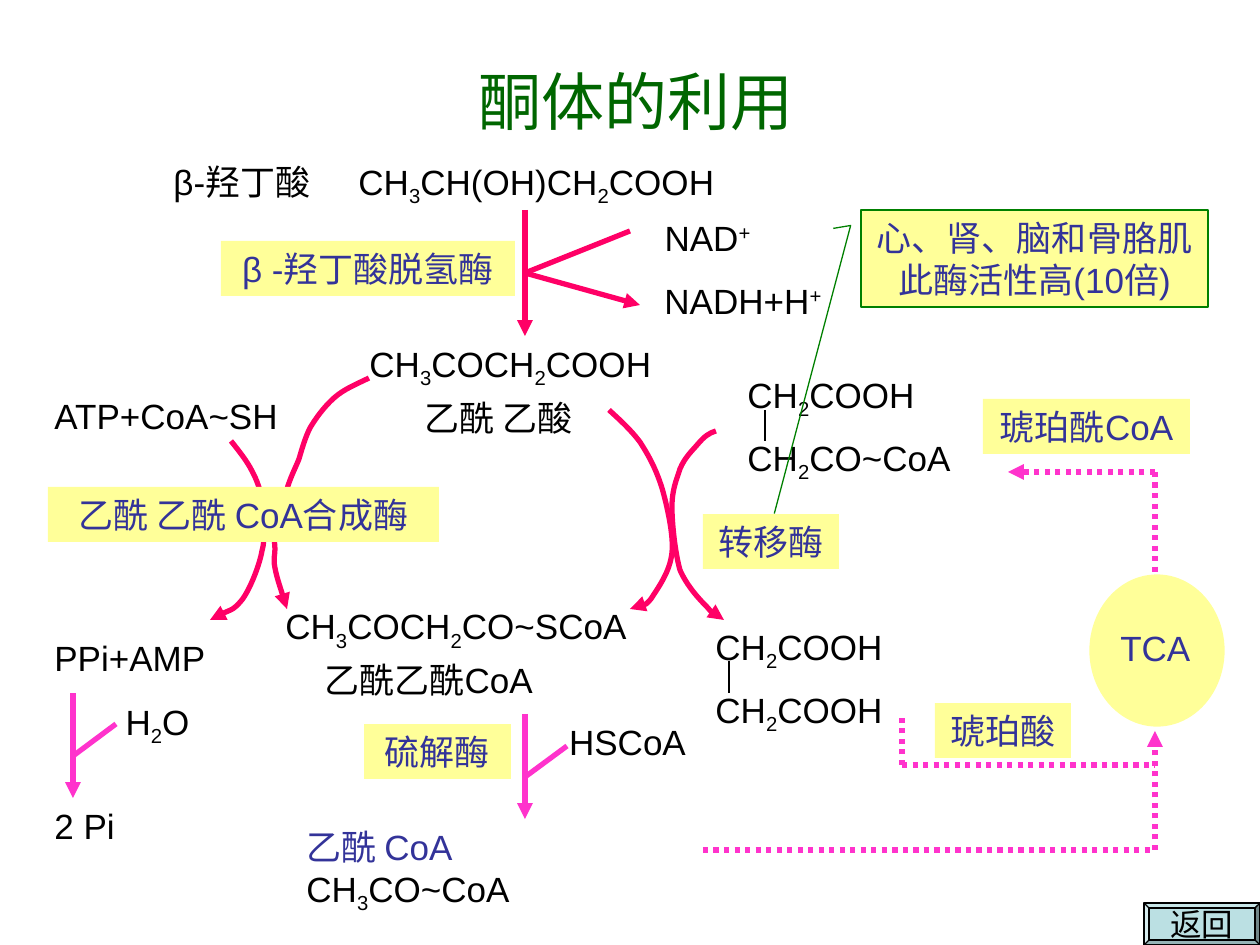
from lxml import etree
from pptx import Presentation
from pptx.dml.color import RGBColor
from pptx.enum.dml import MSO_LINE
from pptx.enum.shapes import MSO_CONNECTOR, MSO_SHAPE
from pptx.enum.text import MSO_ANCHOR, PP_ALIGN
from pptx.oxml.ns import qn
from pptx.util import Emu, Pt

SCALE = 914400 / 126
LEFT, CENTER = PP_ALIGN.LEFT, PP_ALIGN.CENTER
TOP, MIDDLE = MSO_ANCHOR.TOP, MSO_ANCHOR.MIDDLE
STRAIGHT = MSO_CONNECTOR.STRAIGHT
DOTTED = MSO_LINE.ROUND_DOT
BASELINES = {"_": "-25000", "^": "30000"}
COLORS = {
    "title": "006600",
    "ink": "000000",
    "enzyme": "333399",
    "highlight": "FFFF99",
    "ketone": "FF0066",
    "cycle": "FF33CC",
    "callout": "008000",
    "button": "BBE0E3",
}


def write(shape, lines, color, align=LEFT, size=20, indent=0, gap=0):
    frame = shape.text_frame
    frame.word_wrap = align == LEFT
    frame.vertical_anchor = TOP if align == LEFT else MIDDLE
    for index, line in enumerate(lines):
        paragraph = frame.paragraphs[0] if index == 0 else frame.add_paragraph()
        paragraph.alignment = align
        if index == len(lines) - 1 and indent:
            paragraph._p.get_or_add_pPr().set("marL", str(round(indent * SCALE)))
        if index:
            paragraph.space_before = Pt(gap)
        for piece in line.split("|"):
            run = paragraph.add_run()
            run.text = piece.lstrip("_^")
            run.font.name = "Arial"
            run.font.size = Pt(size)
            run.font.color.rgb = RGBColor.from_string(COLORS[color])
            if piece[0] in BASELINES:
                run._r.get_or_add_rPr().set("baseline", BASELINES[piece[0]])


def stroke(shape, color, width, arrow=False, dash=None):
    shape.line.color.rgb = RGBColor.from_string(COLORS[color])
    shape.line.width = Pt(width)
    if dash:
        shape.line.dash_style = dash
    if arrow:
        outline = shape._element.spPr.find(qn("a:ln"))
        etree.SubElement(outline, qn("a:tailEnd"), type="triangle")


prs = Presentation()
prs.slide_width, prs.slide_height = Emu(9144000), Emu(6858000)
slide = prs.slides.add_slide(prs.slide_layouts[6])
shapes = slide.shapes

title = shapes.add_textbox(*[Emu(round(v * SCALE)) for v in (53, 42, 1165, 116)])
write(title, ["酮体的利用"], "title", CENTER, 36)

hydroxybutyrate = shapes.add_textbox(*[Emu(round(v * SCALE)) for v in (161, 154, 586, 60)])
write(hydroxybutyrate, ["β-羟丁酸\tCH|_3|CH(OH)CH|_2|COOH"], "ink")
properties = hydroxybutyrate.text_frame.paragraphs[0]._p.get_or_add_pPr()
tabs = etree.SubElement(properties, qn("a:tabLst"))
etree.SubElement(tabs, qn("a:tab"), pos=str(round(185 * SCALE)), algn="l")

compounds = [
    ((357, 336, 315, 151), ["CH|_3|COCH|_2|COOH", "乙酰 乙酸"], LEFT, 55),
    ((273, 598, 388, 110), ["CH|_3|COCH|_2|CO~SCoA", "乙酰乙酰CoA"], LEFT, 39),
    ((42, 388, 252, 55), ["ATP+CoA~SH"], LEFT, 0),
    ((42, 630, 189, 55), ["PPi+AMP"], LEFT, 0),
    ((42, 798, 105, 55), ["2 Pi"], LEFT, 0),
    ((735, 367, 281, 60), ["CH|_2|COOH"], LEFT, 0),
    ((735, 430, 325, 60), ["CH|_2|CO~CoA"], LEFT, 0),
    ((703, 619, 242, 60), ["CH|_2|COOH"], LEFT, 0),
    ((703, 682, 242, 60), ["CH|_2|COOH"], LEFT, 0),
    ((648, 210, 119, 55), ["NAD|^+"], CENTER, 0),
    ((643, 273, 200, 55), ["NADH+H|^+"], CENTER, 0),
    ((109, 694, 97, 60), ["H|_2|O"], CENTER, 0),
    ((552, 714, 151, 55), ["HSCoA"], CENTER, 0),
]
for box, lines, align, indent in compounds:
    compound = shapes.add_textbox(*[Emu(round(v * SCALE)) for v in box])
    write(compound, lines, "ink", align, indent=indent, gap=3.7)

acetyl_coa = shapes.add_textbox(*[Emu(round(v * SCALE)) for v in (294, 819, 420, 103)])
write(acetyl_coa, ["乙酰 CoA", "CH|_3|CO~CoA"], "enzyme")
for run in acetyl_coa.text_frame.paragraphs[1].runs:
    run.font.color.rgb = RGBColor.from_string(COLORS["ink"])

curves = [
    [(609, 410), (620, 420), (631, 430), (640, 442), (649, 456), (656, 469), (662, 488),
     (667, 505), (674, 536), (672, 553), (670, 572), (658, 588), (651, 599),
     (644, 607), (634, 607), (630, 609)],
    [(716, 431), (709, 433), (704, 437), (698, 444), (693, 450), (685, 457), (680, 469),
     (677, 479), (672, 489), (672, 507), (672, 523), (675, 552), (680, 570),
     (687, 586), (699, 599), (707, 607), (714, 615), (722, 617), (724, 620)],
    [(369, 378), (357, 384), (344, 389), (334, 398), (324, 407), (316, 418), (310, 428),
     (305, 438), (302, 449), (299, 459), (295, 469), (291, 476), (287, 489),
     (282, 500), (277, 519), (275, 529), (273, 539), (275, 542), (275, 549),
     (275, 556), (273, 558), (275, 568), (277, 578), (285, 602), (287, 609)],
    [(231, 441), (239, 451), (247, 461), (252, 471), (257, 480), (261, 492), (262, 500),
     (265, 509), (262, 512), (262, 520), (262, 529), (266, 537), (262, 551),
     (260, 563), (251, 588), (242, 600), (233, 611), (215, 616), (210, 620)],
]
for start, *controls in curves:
    builder = shapes.build_freeform(*start, scale=SCALE)
    builder.add_line_segments(controls, close=False)
    curve = builder.convert_to_shape()
    curve.shadow.inherit = False
    curve.fill.background()
    stroke(curve, "ketone", 3, arrow=True)
    outline_path = next(curve._element.iter(qn("a:path")))
    segments = outline_path.findall(qn("a:lnTo"))
    for first in range(0, len(segments), 3):
        bezier = etree.SubElement(outline_path, qn("a:cubicBezTo"))
        for segment in segments[first:first + 3]:
            bezier.append(segment[0])
            outline_path.remove(segment)

tca = shapes.add_shape(MSO_SHAPE.OVAL, *[Emu(round(v * SCALE)) for v in (1092, 577, 130, 147)])
tca.shadow.inherit = False
tca.fill.solid()
tca.fill.fore_color.rgb = RGBColor.from_string(COLORS["highlight"])
stroke(tca, "highlight", 3)
tca_name = shapes.add_textbox(*[Emu(round(v * SCALE)) for v in (1099, 620, 161, 55)])
write(tca_name, ["TCA"], "enzyme", indent=9)

links = [
    ((765, 410, 765, 441), "ink", 1, False, None),
    ((729, 661, 729, 693), "ink", 1, False, None),
    ((525, 210, 525, 336), "ketone", 3, True, None),
    ((630, 231, 525, 273), "ketone", 3, False, None),
    ((525, 273, 640, 305), "ketone", 3, True, None),
    ((73, 693, 73, 798), "cycle", 3, True, None),
    ((116, 724, 73, 756), "cycle", 3, False, None),
    ((525, 714, 525, 819), "cycle", 3, True, None),
    ((525, 777, 567, 746), "cycle", 3, False, None),
    ((1155, 472, 1155, 577), "cycle", 3, False, DOTTED),
    ((1155, 472, 1008, 472), "cycle", 3, True, DOTTED),
    ((703, 850, 1155, 850), "cycle", 3, False, DOTTED),
    ((1155, 850, 1155, 731), "cycle", 3, True, DOTTED),
    ((902, 765, 1155, 765), "cycle", 3, False, DOTTED),
    ((902, 765, 902, 714), "cycle", 3, False, DOTTED),
]
for ends, color, width, arrow, dash in links:
    link = shapes.add_connector(STRAIGHT, *[Emu(round(v * SCALE)) for v in ends])
    stroke(link, color, width, arrow, dash)
    etree.SubElement(link._element.spPr, qn("a:effectLst"))

labels = [
    ((221, 241, 294, 55), "β -羟丁酸脱氢酶"),
    ((983, 399, 207, 55), "琥珀酰CoA"),
    ((935, 703, 136, 55), "琥珀酸"),
    ((703, 514, 136, 55), "转移酶"),
    ((48, 487, 391, 55), "乙酰 乙酰 CoA合成酶"),
    ((364, 724, 147, 55), "硫解酶"),
]
for box, name in labels:
    label = shapes.add_shape(MSO_SHAPE.RECTANGLE, *[Emu(round(v * SCALE)) for v in box])
    label.shadow.inherit = False
    label.fill.solid()
    label.fill.fore_color.rgb = RGBColor.from_string(COLORS["highlight"])
    label.line.fill.background()
    write(label, [name], "enzyme", CENTER)

framed = [
    (MSO_SHAPE.LINE_CALLOUT_2, (861, 210, 347, 97), "highlight", "callout",
     (0.19, -0.08, 0.16, -0.03, 3.13, -0.25),
     ["心、肾、脑和骨胳肌", "此酶活性高(10倍)"], "enzyme", 20),
    (MSO_SHAPE.BEVEL, (1144, 903, 116, 42), "button", "ink", (0.12,), ["返回"], "ink", 18),
]
for preset, box, fill, border, adjustments, lines, color, size in framed:
    panel = shapes.add_shape(preset, *[Emu(round(v * SCALE)) for v in box])
    panel.shadow.inherit = False
    panel.fill.solid()
    panel.fill.fore_color.rgb = RGBColor.from_string(COLORS[fill])
    stroke(panel, border, 0.75)
    for index, value in enumerate(adjustments):
        panel.adjustments[index] = value
    write(panel, lines, color, CENTER, size)

prs.save("out.pptx")
